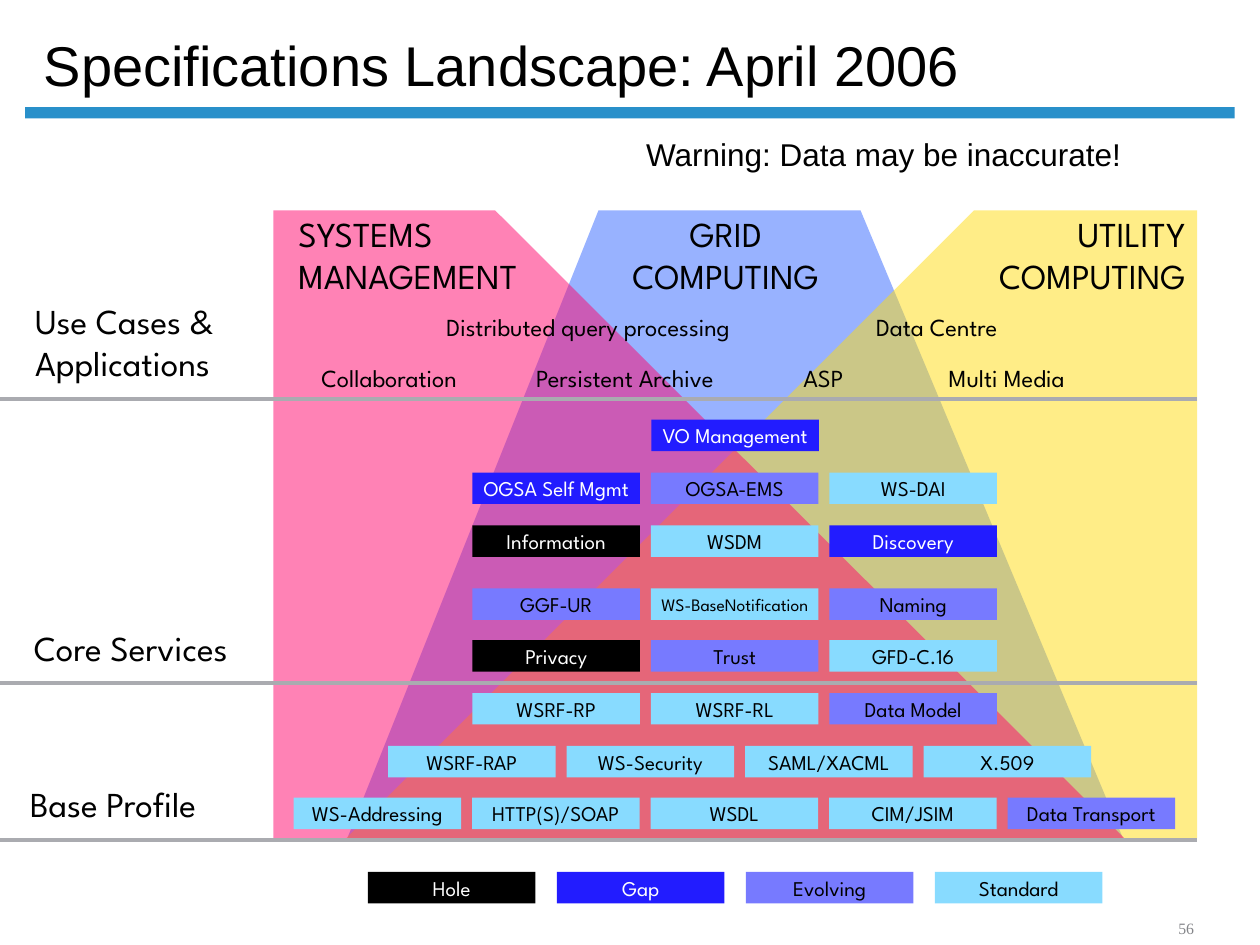
from lxml import etree
from pptx import Presentation
from pptx import util as u
from pptx.dml.color import RGBColor
from pptx.enum import shapes, text
from pptx.oxml import ns

BLACK = RGBColor(0x00, 0x00, 0x00)
WHITE = RGBColor(0xFF, 0xFF, 0xFF)
RULE_BLUE = RGBColor(0x29, 0x90, 0xCA)
GRID_BLUE = RGBColor(0x33, 0x66, 0xFF)
UTILITY_YELLOW = RGBColor(0xFF, 0xDD, 0x11)
SYSTEMS_PINK = RGBColor(0xFF, 0x06, 0x6D)
LINE_GREY = RGBColor(0xAA, 0xAB, 0xB0)
NUMBER_GREY = RGBColor(0x84, 0x85, 0x89)
GAP_BLUE = RGBColor(0x22, 0x1C, 0xFF)
EVOLVING_VIOLET = RGBColor(0x77, 0x7A, 0xFF)
STANDARD_CYAN = RGBColor(0x88, 0xDB, 0xFF)

HOLE = (BLACK, WHITE)
GAP = (GAP_BLUE, WHITE)
EVOLVING = (EVOLVING_VIOLET, BLACK)
STANDARD = (STANDARD_CYAN, BLACK)

LEFT, CENTER, RIGHT = text.PP_ALIGN.LEFT, text.PP_ALIGN.CENTER, text.PP_ALIGN.RIGHT
TOP, MIDDLE, BOTTOM = text.MSO_ANCHOR.TOP, text.MSO_ANCHOR.MIDDLE, text.MSO_ANCHOR.BOTTOM

TILE_WIDTH, TILE_HEIGHT = 1.33, 0.25
COLUMN_PITCH = 17 / 12
LEGEND_PITCH = 1.5

REGIONS = [
    (GRID_BLUE, [(2.75, 6.67), (4.75, 1.67), (6.83, 1.67), (8.92, 6.67)]),
    (UTILITY_YELLOW, [(9.5, 1.67), (7.73, 1.67), (2.75, 6.65), (9.5, 6.65)]),
    (SYSTEMS_PINK, [(2.17, 1.67), (3.93, 1.67), (8.92, 6.65), (2.17, 6.65)]),
]
HEADINGS = [
    ("SYSTEMS\nMANAGEMENT", (2.27, 1.64, 2.15, 0.77), LEFT),
    ("GRID\nCOMPUTING", (4.82, 1.64, 1.88, 0.77), CENTER),
    ("UTILITY\nCOMPUTING", (7.63, 1.64, 1.88, 0.77), RIGHT),
    ("Use Cases &\nApplications", (0.18, 2.33, 1.8, 0.77), LEFT),
    ("Core Services", (0.17, 4.92, 1.95, 0.44), LEFT),
    ("Base Profile", (0.14, 6.16, 1.75, 0.44), LEFT),
]
USE_CASES = [
    ("Distributed query processing", 3.24, 2.42, 2.86),
    ("Data Centre", 6.79, 2.42, 1.29),
    ("Collaboration", 2.37, 2.83, 1.44),
    ("Persistent Archive", 4.04, 2.83, 1.84),
    ("ASP", 6.26, 2.83, 0.55),
    ("Multi Media", 7.35, 2.83, 1.28),
]
SPECIFICATION_ROWS = [
    (5.17, 3.33, [("VO Management", GAP)]),
    (3.75, 3.75, [("OGSA Self Mgmt", GAP), ("OGSA-EMS", EVOLVING), ("WS-DAI", STANDARD)]),
    (3.75, 4.17, [("Information", HOLE), ("WSDM", STANDARD), ("Discovery", GAP)]),
    (3.75, 4.67, [("GGF-UR", EVOLVING), ("WS-BaseNotification", STANDARD), ("Naming", EVOLVING)]),
    (3.75, 5.08, [("Privacy", HOLE), ("Trust", EVOLVING), ("GFD-C.16", STANDARD)]),
    (3.75, 5.5, [("WSRF-RP", STANDARD), ("WSRF-RL", STANDARD), ("Data Model", EVOLVING)]),
    (3.08, 5.92, [("WSRF-RAP", STANDARD), ("WS-Security", STANDARD),
                  ("SAML/XACML", STANDARD), ("X.509", STANDARD)]),
    (2.33, 6.33, [("WS-Addressing", STANDARD), ("HTTP(S)/SOAP", STANDARD), ("WSDL", STANDARD),
                  ("CIM/JSIM", STANDARD), ("Data Transport", EVOLVING)]),
]
LEGEND = [("Hole", HOLE), ("Gap", GAP), ("Evolving", EVOLVING), ("Standard", STANDARD)]


class LandscapePage:
    def __init__(self, page, font="League Spartan"):
        self.page = page
        self.font = font

    def fill_text(self, shape, words, size, color=BLACK, align=LEFT, anchor=TOP,
                  font=None, wrap=False, spacing=None):
        frame = shape.text_frame
        frame.word_wrap = wrap
        frame.vertical_anchor = anchor
        style = {"name": font or self.font, "size": u.Pt(size)}
        for index, line in enumerate(words.split("\n")):
            para = frame.paragraphs[0] if index == 0 else frame.add_paragraph()
            para.alignment = align
            para.line_spacing = spacing
            span = para.add_run()
            span.text = line
            for name, value in style.items():
                setattr(span.font, name, value)
            span.font.color.rgb = color

    def label(self, words, place, size, **style):
        box = self.page.shapes.add_textbox(*map(u.Inches, place))
        self.fill_text(box, words, size, **style)

    def paint(self, shape, color):
        shape.shadow.inherit = False
        shape.fill.solid()
        shape.fill.fore_color.rgb = color
        shape.line.fill.background()

    def bar(self, place, color):
        bar = self.page.shapes.add_shape(shapes.MSO_SHAPE.RECTANGLE, *map(u.Inches, place))
        self.paint(bar, color)
        return bar

    def tile(self, words, left, top, status, size=12):
        fill, ink = status
        box = self.bar((left, top, TILE_WIDTH, TILE_HEIGHT), fill)
        self.fill_text(box, words, size, color=ink, align=CENTER, anchor=MIDDLE)

    def tile_row(self, left, top, tiles, pitch):
        for column, (words, status) in enumerate(tiles):
            size = 10 if len(words) > 15 else 12
            self.tile(words, left + column * pitch, top, status, size)

    def region(self, color, corners):
        points = [(u.Inches(x), u.Inches(y)) for x, y in corners]
        builder = self.page.shapes.build_freeform(*points[0])
        builder.add_line_segments(points[1:], close=True)
        region = builder.convert_to_shape()
        self.paint(region, color)
        tint = region._element.spPr.find(".//" + ns.qn("a:srgbClr"))
        etree.SubElement(tint, ns.qn("a:alpha"), val="50000")

    def divider(self, top):
        line = self.page.shapes.add_connector(
            shapes.MSO_CONNECTOR.STRAIGHT, 0, u.Inches(top), u.Inches(9.5), u.Inches(top))
        line.line.color.rgb = LINE_GREY
        line.line.width = u.Pt(2.25)
        etree.SubElement(line._element.spPr, ns.qn("a:effectLst"))


def main():
    deck = Presentation()
    deck.slide_width, deck.slide_height = u.Inches(10), u.Inches(7.5)
    landscape = LandscapePage(deck.slides.add_slide(deck.slide_layouts[6]))

    landscape.bar((0.2, 0.85, 9.6, 0.09), RULE_BLUE)
    landscape.label("Specifications Landscape: April 2006", (0.25, 0.13, 8.56, 0.7), 32,
                    font="Arial", anchor=BOTTOM, wrap=True, spacing=0.9)
    for color, corners in REGIONS:
        landscape.region(color, corners)
    for words, place, align in HEADINGS:
        landscape.label(words, place, 20, align=align)
    for top in (3.17, 5.42, 6.67):
        landscape.divider(top)
    for words, left, top, width in USE_CASES:
        landscape.label(words, (left, top, width, 0.34), 14, align=CENTER, anchor=MIDDLE)
    for left, top, tiles in SPECIFICATION_ROWS:
        landscape.tile_row(left, top, tiles, COLUMN_PITCH)
    landscape.tile_row(2.92, 6.92, LEGEND, LEGEND_PITCH)
    landscape.label("Warning: Data may be inaccurate!", (5.03, 1.02, 3.98, 0.4), 18, font="Arial")
    landscape.label("56", (9, 7.25, 0.83, 0.24), 9, color=NUMBER_GREY, align=CENTER,
                    anchor=BOTTOM, font="Times New Roman", wrap=True)
    deck.save("out.pptx")


if __name__ == "__main__":
    main()
